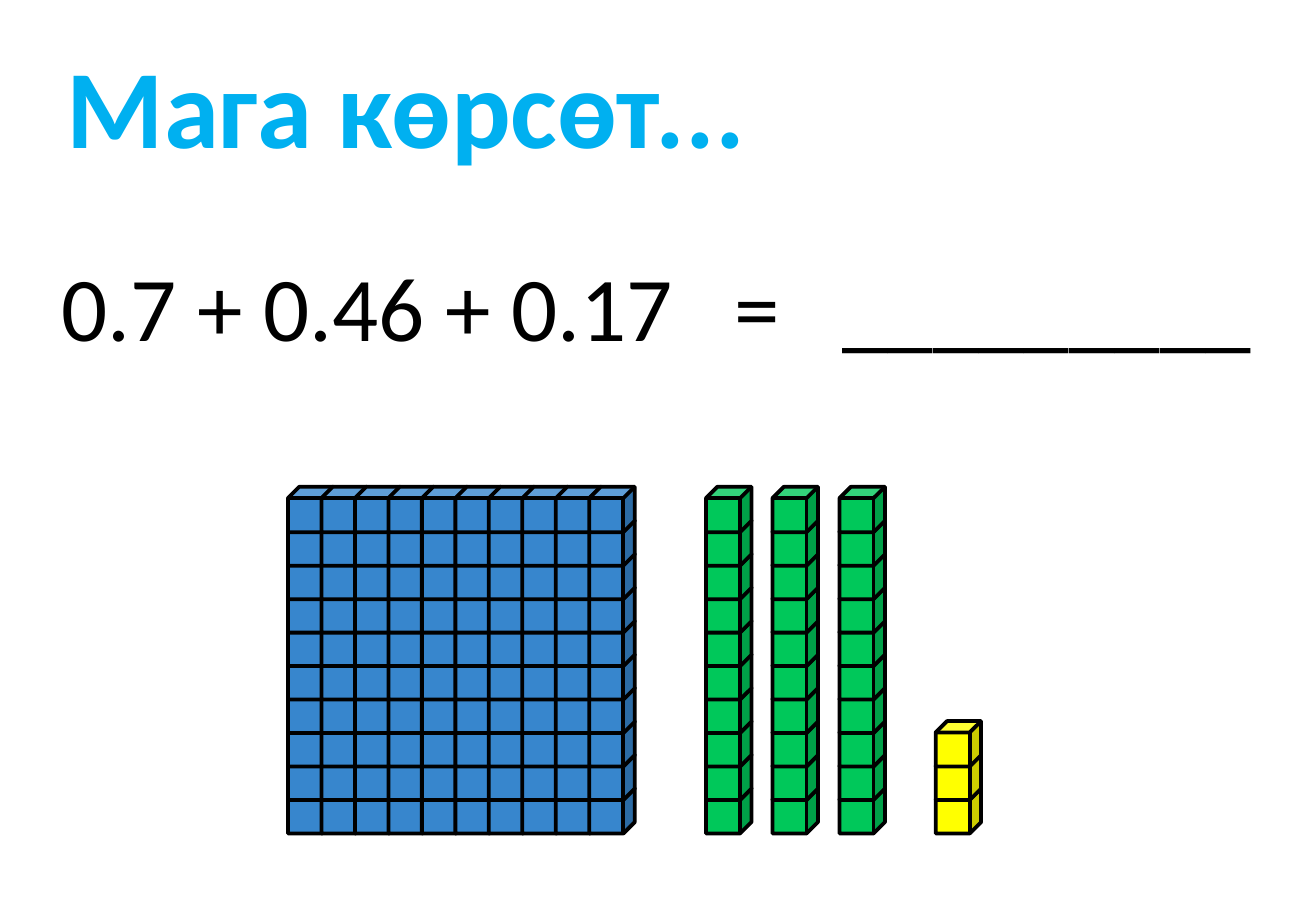
from lxml import etree
from pptx import Presentation
from pptx.dml.color import RGBColor
from pptx.enum.shapes import MSO_SHAPE
from pptx.enum.text import MSO_ANCHOR, MSO_AUTO_SIZE, PP_ALIGN
from pptx.oxml.ns import qn
from pptx.util import Cm, Pt

CUBE = MSO_SHAPE.CUBE
TOP = MSO_ANCHOR.TOP
NO_AUTOFIT = MSO_AUTO_SIZE.NONE
LEFT = PP_ALIGN.LEFT

SKY = RGBColor(0x00, 0xB0, 0xF0)
BLACK = RGBColor(0x00, 0x00, 0x00)
BLUE = RGBColor(0x37, 0x86, 0xCD)
GREEN = RGBColor(0x00, 0xC8, 0x5A)
YELLOW = RGBColor(0xFF, 0xFF, 0x00)

TITLE_FORMAT = {"name": "Calibri", "size": Pt(66), "bold": True}
SUM_FORMAT = {"name": "Calibri", "size": Pt(54), "bold": False}

TITLE_ONLY = 5
CUBE_SIZE = 0.95
CUBE_STEP = 0.7
LAST_ROW_TOP = 16.48

# left edge, columns, rows, colour
BLOCKS = [
    (6.02, 10, 10, BLUE),
    (14.76, 1, 10, GREEN),
    (16.15, 1, 10, GREEN),
    (17.55, 1, 10, GREEN),
    (19.56, 1, 3, YELLOW),
]


def place(sp, left, top, width, height):
    sp.left, sp.top, sp.width, sp.height = map(Cm, (left, top, width, height))


def write(sp, text, fmt, color, tabs=()):
    """Put one left-aligned paragraph into sp, with tab stops in cm."""
    tf = sp.text_frame
    for name, value in {"word_wrap": True, "auto_size": NO_AUTOFIT,
                        "vertical_anchor": TOP}.items():
        setattr(tf, name, value)
    p = tf.paragraphs[0]
    p.alignment = LEFT
    if tabs:
        tab_list = etree.SubElement(p._p.get_or_add_pPr(), qn("a:tabLst"))
        for pos in tabs:
            etree.SubElement(tab_list, qn("a:tab"), pos=str(Cm(pos)), algn="l")
    r = p.add_run()
    r.text = text
    for name, value in fmt.items():
        setattr(r.font, name, value)
    r.font.color.rgb = color


def add_cube(shapes, left, top, color):
    sp = shapes.add_shape(CUBE, Cm(left), Cm(top), Cm(CUBE_SIZE), Cm(CUBE_SIZE))
    sp.shadow.inherit = False
    sp.fill.solid()
    sp.fill.fore_color.rgb = color
    sp.line.color.rgb = BLACK
    sp.line.width = Pt(2.25)


def add_block(s, left, cols, rows, color):
    """Stack cubes bottom to top, left to right, so that each hides the last one's depth."""
    group = s.shapes.add_group_shape()
    for col in range(cols):
        for row in range(rows):
            add_cube(group.shapes, left + col * CUBE_STEP,
                     LAST_ROW_TOP - row * CUBE_STEP, color)


def main():
    prs = Presentation()
    prs.slide_width, prs.slide_height = Cm(27.51), Cm(19.05)
    s = prs.slides.add_slide(prs.slide_layouts[TITLE_ONLY])

    title = s.shapes.title
    place(title, 1.14, 0.66, 18.62, 3.07)
    write(title, "Мага көрсөт...", TITLE_FORMAT, SKY)

    equation = s.shapes.add_textbox(0, 0, 0, 0)
    place(equation, 1.04, 5.11, 25.9, 2.57)
    write(equation, "0.7 + 0.46 + 0.17\t=\t_________", SUM_FORMAT, BLACK,
          tabs=(14.07, 16.32))

    for block in BLOCKS:
        add_block(s, *block)

    prs.save("out.pptx")


if __name__ == "__main__":
    main()
